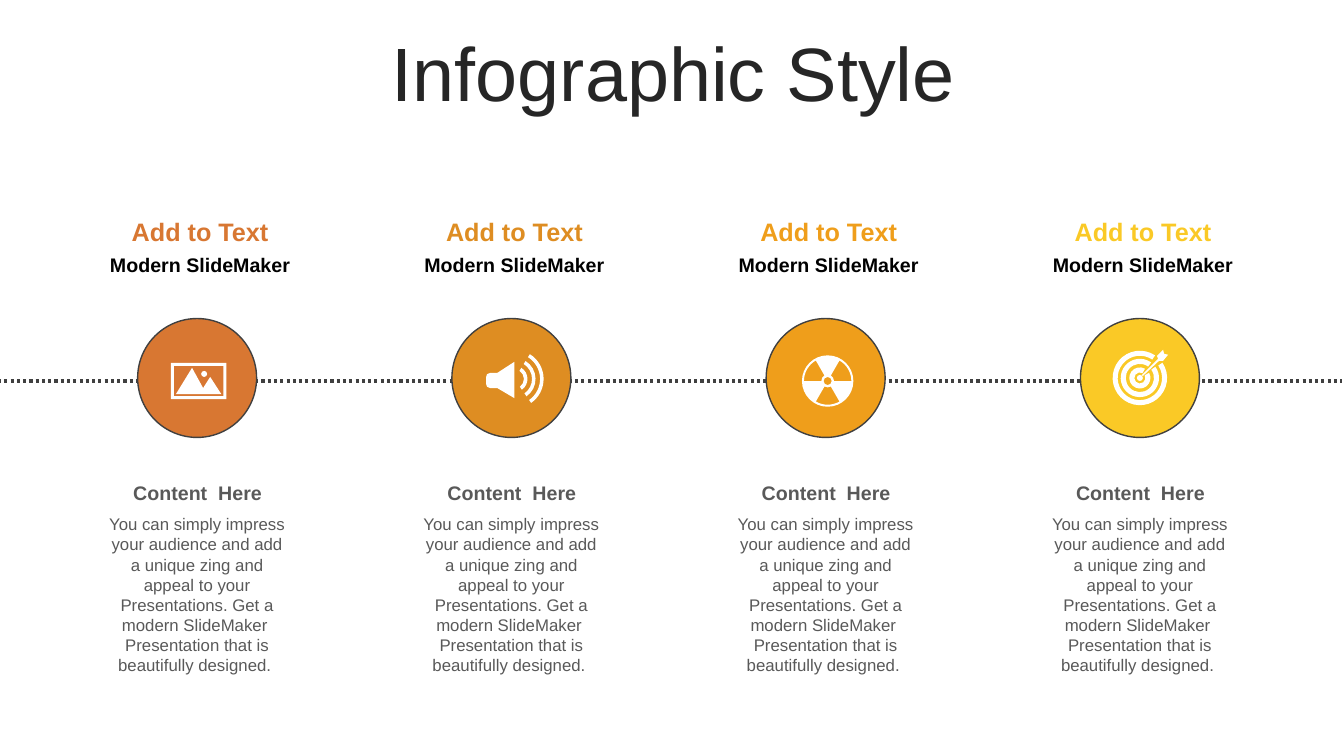
import math
from lxml import etree
from pptx import Presentation, util as u
from pptx.dml.color import RGBColor
from pptx.enum import dml, shapes, text
from pptx.oxml import ns

WIDTH, HEIGHT = 13.33, 7.5
FONT = "Arial"
COLUMN_LEFT, COLUMN_WIDTH, COLUMN_PITCH = 0.91, 2.15, 3.117
DISC_SIZE, DISC_MIDDLE = 1.18, 3.75
DARK, GREY, WHITE, BLACK = "404040", "595959", "FFFFFF", "000000"
BODY = ("You can simply impress your audience and add a unique zing and appeal "
        "to your Presentations. Get a modern SlideMaker  Presentation that is "
        "beautifully designed. ")


def colour(value):
    return RGBColor.from_string(value)


def add_text(parent, box, words, size, shade, bold=False):
    """Add one centred paragraph in box (left, top, width, height)."""
    shape = parent.shapes.add_textbox(*map(u.Inches, box))
    frame = shape.text_frame
    frame.word_wrap = True
    frame.auto_size = text.MSO_AUTO_SIZE.SHAPE_TO_FIT_TEXT
    paragraph = frame.paragraphs[0]
    paragraph.alignment = text.PP_ALIGN.CENTER
    run = paragraph.add_run()
    run.text = words
    run.font.name = FONT
    run.font.size = u.Pt(size)
    run.font.bold = bold
    run.font.color.rgb = colour(shade)
    return frame


def corners(*points):
    """Straight steps; every step of an outline is a tuple of 1 or 3 points."""
    return [(point,) for point in points]


def arc(radius, start, end, centre=(0, 0)):
    """Bezier steps along a circle, in degrees clockwise from the right."""
    def place(angle, along=0):
        return (centre[0] + radius * (math.cos(angle) - along * math.sin(angle)),
                centre[1] + radius * (math.sin(angle) + along * math.cos(angle)))

    count = math.ceil(abs(end - start) / 90)
    sweep = math.radians(end - start) / count
    handle = 4 / 3 * math.tan(sweep / 4)
    angles = [math.radians(start) + sweep * i for i in range(count + 1)]
    curves = [(place(a, handle), place(b, -handle), place(b))
              for a, b in zip(angles, angles[1:])]
    return corners(place(angles[0])) + curves


def band(outer, inner, start, end, centre=(0, 0)):
    return arc(outer, start, end, centre) + arc(inner, end, start, centre)


def landscape_icon():
    return [
        corners((-0.26, -0.15), (0.29, -0.15), (0.29, 0.21), (-0.26, 0.21)),
        corners((-0.23, -0.12), (-0.23, 0.18), (0.26, 0.18), (0.26, -0.12)),
        corners((-0.05, -0.1), (0.06, 0.1), (0.13, -0.01), (0.24, 0.16), (-0.21, 0.16)),
        arc(0.03, 0, 360, (0.07, -0.04)),
    ]


def speaker_icon():
    horn = corners((0.03, -0.16), (0.03, 0.2), (-0.14, 0.1), (-0.21, 0.1))
    horn += [((-0.24, 0.1), (-0.25, 0.08), (-0.25, 0.06)), ((-0.25, -0.01),),
             ((-0.25, -0.03), (-0.24, -0.05), (-0.21, -0.05)), ((-0.14, -0.05),)]
    waves = [band(r, r - 0.035, -58, 55, (0.03, 0.01)) for r in (0.13, 0.21, 0.29)]
    return [horn] + waves


def radiation_icon():
    centre = (0.02, 0.03)
    gaps = [band(0.235, 0.063, a + 60, a, centre) for a in (-60, 60, 180)]
    return [arc(0.255, 0, 360, centre), arc(0.04, 360, 0, centre)] + gaps


def target_icon():
    rings = [band(r, r - 0.05, gap - 45, 315 - gap)
             for r, gap in ((0.27, 11), (0.19, 9), (0.105, 16))]
    arrow = corners(
        (0.23, -0.28), (0.24, -0.24), (0.28, -0.23), (0.23, -0.17), (0.19, -0.17),
        (0.03, -0.02), (0.02, -0.03), (0.18, -0.19), (0.17, -0.22))
    return rings + [arrow, arc(0.03, 0, 360)]


def bend_curves(icon, steps):
    """Turn the lines of each three-point step into one Bezier curve."""
    nodes = icon._element.iter(ns.qn("a:moveTo"), ns.qn("a:lnTo"))
    for step, group in [(step, [next(nodes) for _ in step]) for step in steps]:
        if len(step) == 3:
            curve = etree.Element(ns.qn("a:cubicBezTo"))
            group[0].addprevious(curve)
            for node in group:
                curve.append(node[0])
                node.getparent().remove(node)


def add_icon(slide, centre, outlines):
    """Draw outlines, given in inches around centre, as one white shape."""
    contours = [[tuple(map(u.Inches, point)) for step in outline for point in step]
                for outline in outlines]
    builder = slide.shapes.build_freeform(*contours[0][0])
    for number, points in enumerate(contours):
        if number:
            builder.move_to(*points[0])
        builder.add_line_segments(points[1:], close=True)
    icon = builder.convert_to_shape(*map(u.Inches, centre))
    bend_curves(icon, [step for outline in outlines for step in outline])
    icon.shadow.inherit = False
    icon.fill.solid()
    icon.fill.fore_color.rgb = colour(WHITE)
    icon.line.fill.background()


def add_disc(slide, centre, shade):
    left, top = (value - DISC_SIZE / 2 for value in centre)
    disc = slide.shapes.add_shape(
        shapes.MSO_SHAPE.OVAL, *map(u.Inches, (left, top, DISC_SIZE, DISC_SIZE)))
    disc.shadow.inherit = False
    disc.fill.solid()
    disc.fill.fore_color.rgb = colour(shade)
    disc.line.color.rgb = colour(DARK)
    disc.line.width = u.Pt(1)


def add_timeline(slide):
    line = slide.shapes.add_connector(
        shapes.MSO_CONNECTOR.STRAIGHT, *map(u.Inches, (-0.02, 3.78, 13.31, 3.78)))
    line.line.color.rgb = colour(DARK)
    line.line.width = u.Pt(2.25)
    line.line.dash_style = dml.MSO_LINE.ROUND_DOT
    etree.SubElement(line._element.spPr, ns.qn("a:effectLst"))


def add_column(slide, left, width, shade, outlines):
    """Heading, disc with icon, and description, stacked in one column."""
    centre = (left + width / 2 - 0.03, DISC_MIDDLE)
    add_disc(slide, centre, shade)
    description = slide.shapes.add_group_shape()
    add_text(description, (left + 0.05, 5.05, width - 0.16, 1.72), BODY, 12, GREY)
    add_text(description, (left + 0.04, 4.72, width - 0.13, 0.34), "Content  Here", 14,
             GREY, bold=True)
    add_icon(slide, centre, outlines)
    heading = slide.shapes.add_group_shape()
    add_text(heading, (left, 2.1, width, 0.4), "Add to Text", 18, shade, bold=True)
    add_text(heading, (left, 2.46, width, 0.34), "Modern SlideMaker", 14, BLACK, bold=True)


def add_title(slide):
    frame = add_text(slide, (0.35, 0.37, 12.66, 0.79), "Infographic Style", 54, "262626")
    frame.auto_size = text.MSO_AUTO_SIZE.NONE
    frame.vertical_anchor = text.MSO_ANCHOR.MIDDLE
    frame.paragraphs[0].line_spacing = 0.9


def main():
    presentation = Presentation()
    presentation.slide_width = u.Inches(WIDTH)
    presentation.slide_height = u.Inches(HEIGHT)
    slide = presentation.slides.add_slide(presentation.slide_layouts[6])
    add_title(slide)
    add_timeline(slide)
    columns = [("D87732", landscape_icon()), ("DE8D22", speaker_icon()),
               ("EF9E1B", radiation_icon()), ("FAC926", target_icon())]
    for number, (shade, outlines) in enumerate(columns):
        left = COLUMN_LEFT + number * COLUMN_PITCH
        add_column(slide, left, COLUMN_WIDTH, shade, outlines)
    presentation.save("out.pptx")


if __name__ == "__main__":
    main()
